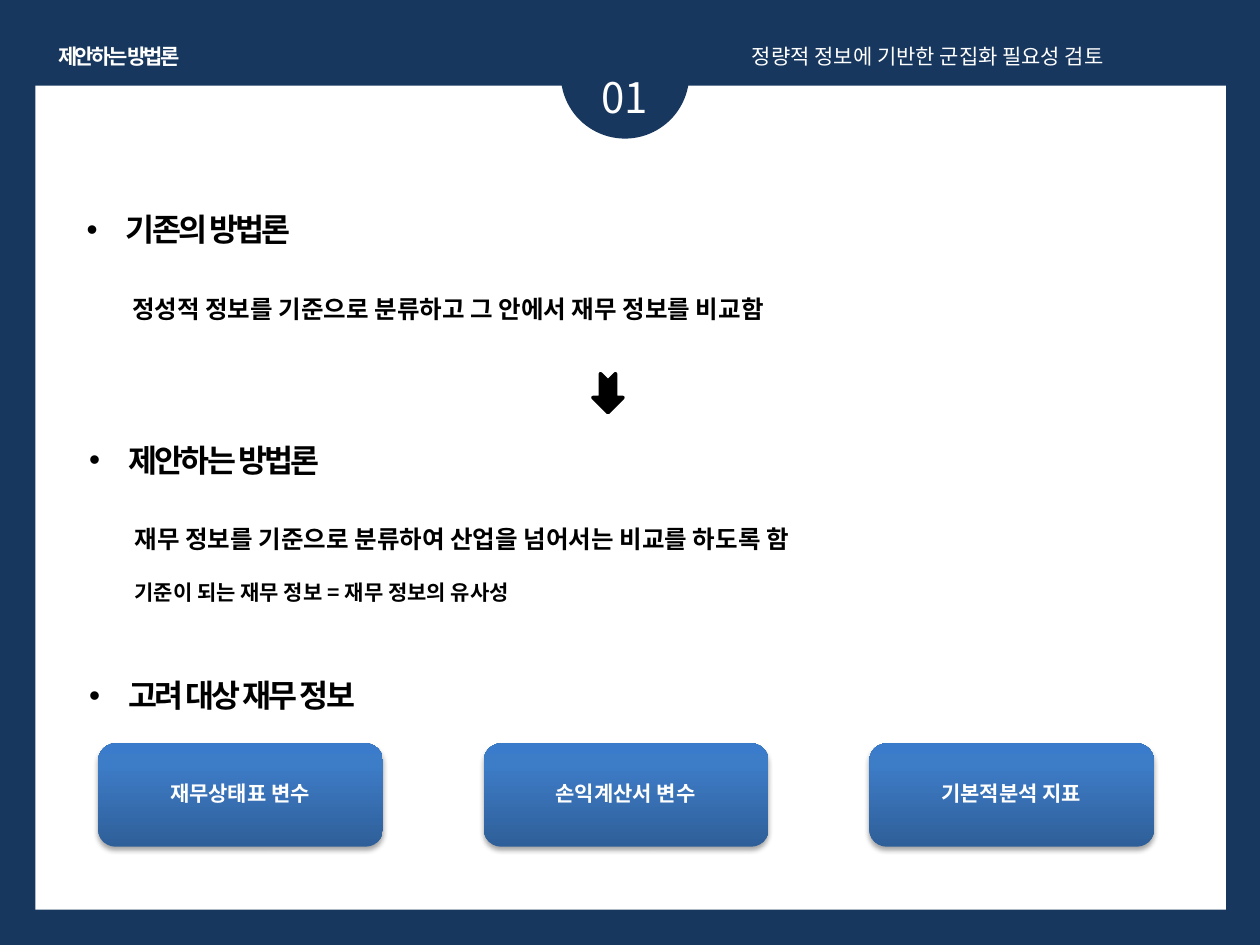
from pptx import Presentation
from pptx.dml.color import RGBColor
from pptx.enum.shapes import MSO_SHAPE as Shape
from pptx.enum.text import MSO_ANCHOR as Anchor, MSO_AUTO_SIZE as AutoSize, PP_ALIGN as Align
from pptx.oxml import parse_xml
from pptx.oxml.ns import nsdecls, qn
from pptx.util import Inches, Pt
from lxml.etree import SubElement

COLORS = {
    "navy": "17375E", "white": "FFFFFF", "black": "000000",
    "card_dark": "2F5F99", "card_mid": "3D7CC7", "card_light": "3A7CCB",
}
FONT = "Noto Sans CJK KR"
CARD_STOPS = [(0, "card_dark"), (80, "card_mid"), (100, "card_light")]


def rgb(name):
    return RGBColor.from_string(COLORS[name])


class SlideBuilder:
    def __init__(self, slide):
        self.slide = slide
        slide.background.fill.solid()
        slide.background.fill.fore_color.rgb = rgb("navy")

    def shape(self, kind, x, y, w, h, color, parent=None):
        shapes = (parent or self.slide).shapes
        item = shapes.add_shape(kind, Inches(x), Inches(y), Inches(w), Inches(h))
        item.shadow.inherit = False
        item.fill.solid()
        item.fill.fore_color.rgb = rgb(color)
        item.line.fill.background()
        return item

    def text(self, x, y, w, h, lines, size, color="black", bold=False, align=Align.LEFT,
             spacing=None, tracking=None, bullet=False, wrap=True, parent=None):
        """Lines after the first are (text, size) pairs that follow a line break."""
        shapes = (parent or self.slide).shapes
        box = shapes.add_textbox(Inches(x), Inches(y), Inches(w), Inches(h))
        frame = box.text_frame
        frame.word_wrap = wrap
        frame.auto_size = AutoSize.NONE if parent else AutoSize.SHAPE_TO_FIT_TEXT
        para = frame.paragraphs[0]
        para.alignment = align
        if spacing:
            para.line_spacing = spacing
        if bullet:
            props = para._p.get_or_add_pPr()
            props.set("marL", str(Inches(0.31)))
            props.set("indent", str(Inches(-0.31)))
            SubElement(props, qn("a:buFont"), typeface="Arial")
            SubElement(props, qn("a:buChar"), char="•")
        para.font.size = Pt(size)
        para.font.bold = bold
        para.font.color.rgb = rgb(color)
        para.font.name = FONT
        SubElement(para.font._element, qn("a:ea"), typeface=FONT)
        first, *others = lines
        runs = [para.add_run()]
        runs[0].text = first
        for line, line_size in others:
            para.add_line_break()
            runs.append(para.add_run())
            runs[-1].text = line
            runs[-1].font.size = Pt(line_size)
        if tracking:
            for run in runs:
                run.font._element.set("spc", str(int(tracking * 100)))
        return box

    def heading(self, x, y, title):
        self.text(x, y, 2.76, 0.4, [title], 18, bold=True, tracking=-1.5, bullet=True)

    def body(self, x, y, h, lines):
        self.text(x, y, 8.15, h, lines, 14, bold=True, spacing=2.0)

    def down_arrow(self, x, y, w, h):
        arrow = self.shape(Shape.NOTCHED_RIGHT_ARROW, x, y, w, h, "black")
        arrow.rotation = 90
        arrow.line.color.rgb = rgb("black")
        arrow.line.width = Pt(2)

    def card(self, x, y, label):
        group = self.slide.shapes.add_group_shape()
        plate = self.shape(Shape.ROUNDED_RECTANGLE, x, y, 2.26, 0.82, "card_mid", group)
        # Three-stop gradient, running upwards
        stops = "".join(
            f'<a:gs pos="{pos * 1000}"><a:srgbClr val="{COLORS[name]}"/></a:gs>'
            for pos, name in CARD_STOPS)
        props = plate._element.spPr
        props.replace(props.find(qn("a:solidFill")), parse_xml(
            f'<a:gradFill {nsdecls("a")} rotWithShape="1"><a:gsLst>{stops}</a:gsLst>'
            '<a:lin ang="16200000" scaled="0"/></a:gradFill>'))
        # Soft shadow below
        props.find(qn("a:effectLst")).append(parse_xml(
            f'<a:outerShdw {nsdecls("a")} blurRad="{Pt(3.1)}" dist="{Pt(1.8)}" '
            f'dir="5400000" rotWithShape="0"><a:srgbClr val="{COLORS["black"]}">'
            '<a:alpha val="35000"/></a:srgbClr></a:outerShdw>'))
        caption = self.text(x + 0.05, y + 0.04, 2.15, 0.74, [label], 12, "white", True,
                            Align.CENTER, spacing=0.9, parent=group)
        frame = caption.text_frame
        frame.vertical_anchor = Anchor.MIDDLE
        frame.margin_left = frame.margin_right = Inches(0.11)
        frame.paragraphs[0].space_after = Pt(4.2)


def main():
    deck = Presentation()
    deck.slide_width, deck.slide_height = Inches(10), Inches(7.5)
    page = SlideBuilder(deck.slides.add_slide(deck.slide_layouts[6]))

    # White page with the numbered tab
    page.shape(Shape.RECTANGLE, 0.28, 0.68, 9.45, 6.54, "white")
    page.shape(Shape.OVAL, 4.45, 0.08, 1.02, 1.02, "navy")
    page.text(4.37, 0.52, 1.18, 0.5, ["01"], 24, "white", align=Align.CENTER)

    # Header
    page.text(0.31, 0.3, 1.27, 0.3, ["제안하는 방법론"], 12, "white", True,
              Align.CENTER, tracking=-1.5, wrap=False)
    page.text(5.87, 0.3, 3.94, 0.3, ["정량적 정보에 기반한 군집화 필요성 검토"], 12,
              "white", align=Align.JUSTIFY)

    # Existing method, leading to the proposed one
    page.heading(0.59, 1.62, "기존의 방법론")
    page.body(0.95, 2.05, 0.5, ["정성적 정보를 기준으로 분류하고 그 안에서 재무 정보를 비교함"])
    page.down_arrow(4.67, 3, 0.31, 0.24)
    page.heading(0.61, 3.45, "제안하는 방법론")
    page.body(0.97, 3.88, 0.91, ["재무 정보를 기준으로 분류하여 산업을 넘어서는 비교를 하도록 함",
                                 ("기준이 되는 재무 정보 = 재무 정보의 유사성", 12)])

    # Financial information considered
    for column, label in enumerate(["재무상태표 변수", "손익계산서 변수", "기본적분석 지표"]):
        page.card(0.78 + 3.06 * column, 5.9, label)
    page.heading(0.61, 5.32, "고려 대상 재무 정보")

    deck.save("out.pptx")


if __name__ == "__main__":
    main()
